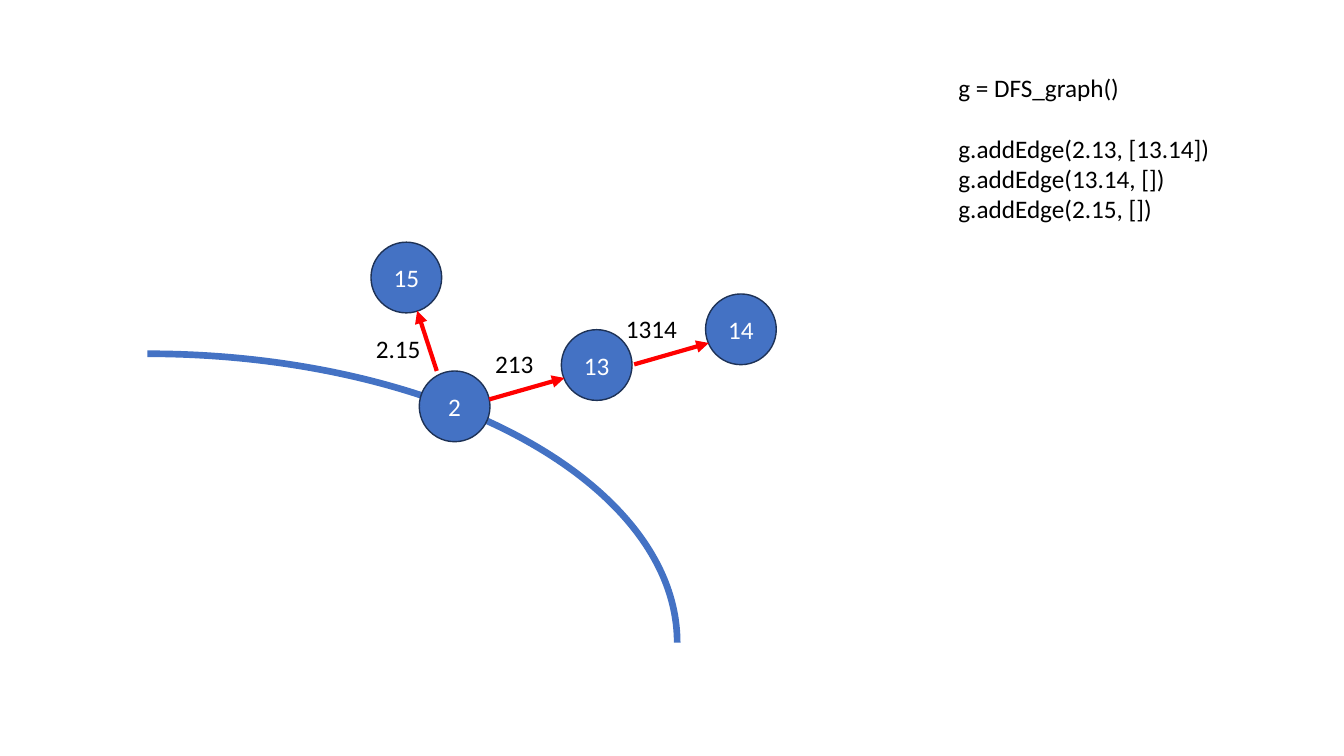
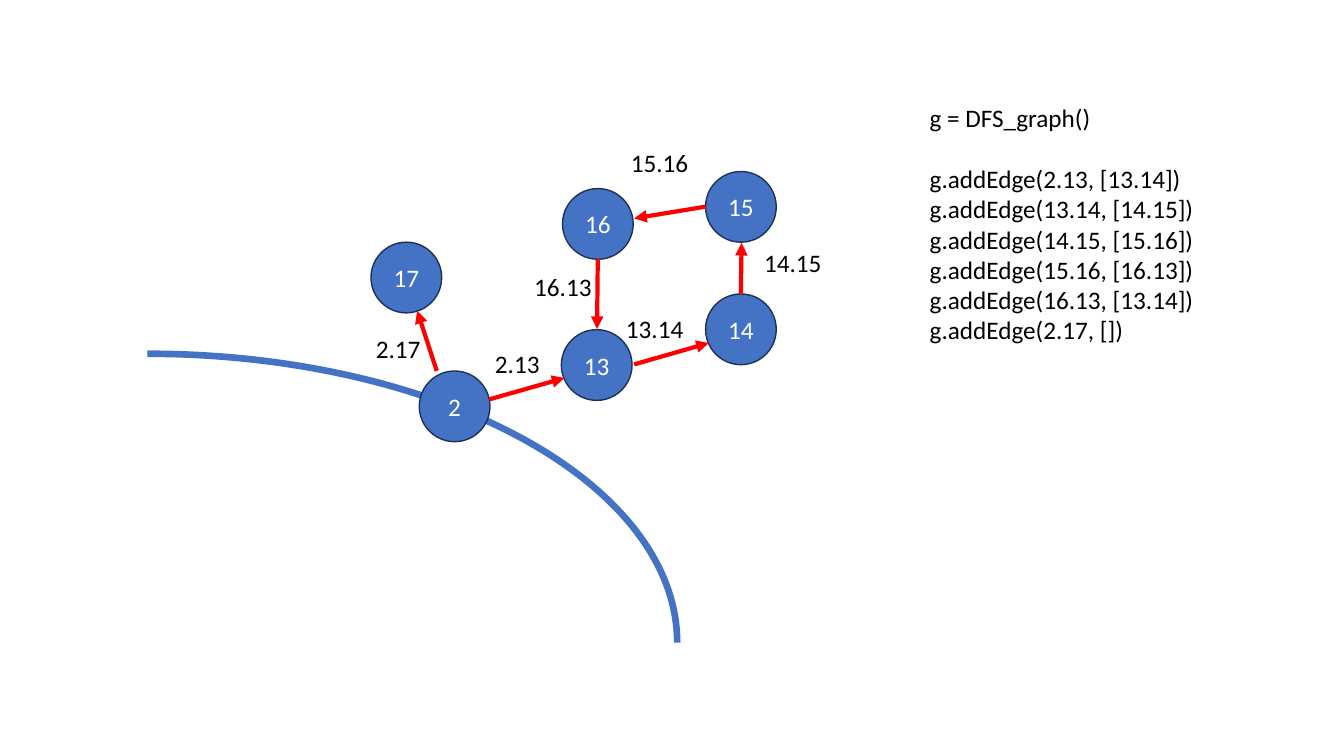
from lxml import etree
from pptx import Presentation
from pptx.dml.color import RGBColor
from pptx.enum import shapes, text
from pptx.oxml import ns
from pptx.util import Pt

BLUE, NAVY, RED, WHITE, BLACK = "4472C4", "1E3256", "FF0000", "FFFFFF", "000000"
NODE_SIZE = 50.5
LINE_HEIGHT = 22
NODE_FRAME = {"margin_left": 0, "margin_right": 0, "margin_top": 0, "margin_bottom": 0,
              "vertical_anchor": text.MSO_ANCHOR.MIDDLE, "word_wrap": False}
LABEL_FRAME = {"word_wrap": False, "auto_size": text.MSO_AUTO_SIZE.SHAPE_TO_FIT_TEXT}

# Node places (left, top) and edge ends (x1, y1, x2, y2) with label place
NODES = {"root": (299.5, 265), "first": (401, 235.5), "second": (504, 210),
         "branch": (265, 173), "third": (504, 122.5), "fourth": (401.8, 134.7)}
EDGES = {"root-first": ((349.5, 285.3, 403.2, 270), (346.5, 245.5)),
         "first-second": ((453, 260.3, 506.3, 245), (440, 220)),
         "root-branch": ((312, 265, 298, 222), (261.4, 234.7)),
         "second-third": ((529.2, 210, 529.7, 173.5), (538.7, 172.8)),
         "third-fourth": ((504, 147.6, 453, 156), (443.5, 102)),
         "fourth-first": ((427, 185, 426.5, 235), (374.5, 190.3))}

PAGES = [
    {"nodes": {"root": "2", "first": "13", "second": "14", "branch": "15"},
     "edges": {"root-first": "213", "first-second": "1314", "root-branch": "2.15"},
     "code": ["g = DFS_graph()", "g.addEdge(2.13, [13.14])", "g.addEdge(13.14, [])",
              "g.addEdge(2.15, [])"],
     "code_place": (677.5, 48, 196)},
    {"nodes": {"root": "2", "first": "13", "second": "14", "branch": "17",
               "third": "15", "fourth": "16"},
     "edges": {"root-first": "2.13", "first-second": "13.14", "root-branch": "2.17",
               "second-third": "14.15", "third-fourth": "15.16", "fourth-first": "16.13"},
     "code": ["g = DFS_graph()", "g.addEdge(2.13, [13.14])", "g.addEdge(13.14, [14.15])",
              "g.addEdge(14.15, [15.16])", "g.addEdge(15.16, [16.13])",
              "g.addEdge(16.13, [13.14])", "g.addEdge(2.17, [])"],
     "code_place": (657, 69.7, 205)},
]


def paint(target, color):
    """Give a fill, or the fill of a line, one solid colour."""
    target.solid()
    target.fore_color.rgb = RGBColor.from_string(color)


def write(box, lines, color, align, frame_format):
    """Write one paragraph per line in the deck's text style."""
    frame = box.text_frame
    for name, value in frame_format.items():
        setattr(frame, name, value)
    for index, line in enumerate(lines):
        para = frame.paragraphs[0] if index == 0 else frame.add_paragraph()
        para.alignment = align
        span = para.add_run()
        span.text = line
        for name, value in {"size": Pt(18), "name": "Calibri"}.items():
            setattr(span.font, name, value)
        paint(span.font.fill, color)


deck = Presentation()
deck.slide_width, deck.slide_height = Pt(960), Pt(540)

for content in PAGES:
    page = deck.slides.add_slide(deck.slide_layouts[6])

    # Main curve
    curve = page.shapes.add_shape(shapes.MSO_SHAPE.ARC, Pt(-273), Pt(252.7), Pt(756.7), Pt(412.6))
    curve.shadow.inherit = False
    curve.fill.background()
    paint(curve.line.fill, BLUE)
    curve.line.width = Pt(4.75)

    # Nodes
    for key, number in content["nodes"].items():
        left, top = NODES[key]
        node = page.shapes.add_shape(shapes.MSO_SHAPE.OVAL, Pt(left), Pt(top),
                                     Pt(NODE_SIZE), Pt(NODE_SIZE))
        node.shadow.inherit = False
        paint(node.fill, BLUE)
        paint(node.line.fill, NAVY)
        node.line.width = Pt(1)
        write(node, [number], WHITE, text.PP_ALIGN.CENTER, NODE_FRAME)

    # Arrows and their labels
    for key, label in content["edges"].items():
        ends, (left, top) = EDGES[key]
        arrow = page.shapes.add_connector(shapes.MSO_CONNECTOR.STRAIGHT, *map(Pt, ends))
        paint(arrow.line.fill, RED)
        arrow.line.width = Pt(3)
        outline = arrow.line._get_or_add_ln()
        etree.SubElement(outline, ns.qn("a:tailEnd"), type="triangle")
        etree.SubElement(arrow._element.spPr, ns.qn("a:effectLst"))

        dots = label.count(".")
        width = 14.4 + 9.1 * (len(label) - dots) + 4.5 * dots
        box = page.shapes.add_textbox(Pt(left), Pt(top), Pt(width), Pt(LINE_HEIGHT + 7))
        write(box, [label], BLACK, text.PP_ALIGN.LEFT, LABEL_FRAME)

    # Code, with a one-line gap below the first statement
    left, top, width = content["code_place"]
    height = LINE_HEIGHT * (len(content["code"]) + 1) + 7
    box = page.shapes.add_textbox(Pt(left), Pt(top), Pt(width), Pt(height))
    write(box, content["code"], BLACK, text.PP_ALIGN.LEFT, LABEL_FRAME)
    box.text_frame.paragraphs[0].space_after = Pt(LINE_HEIGHT)

deck.save("out.pptx")
